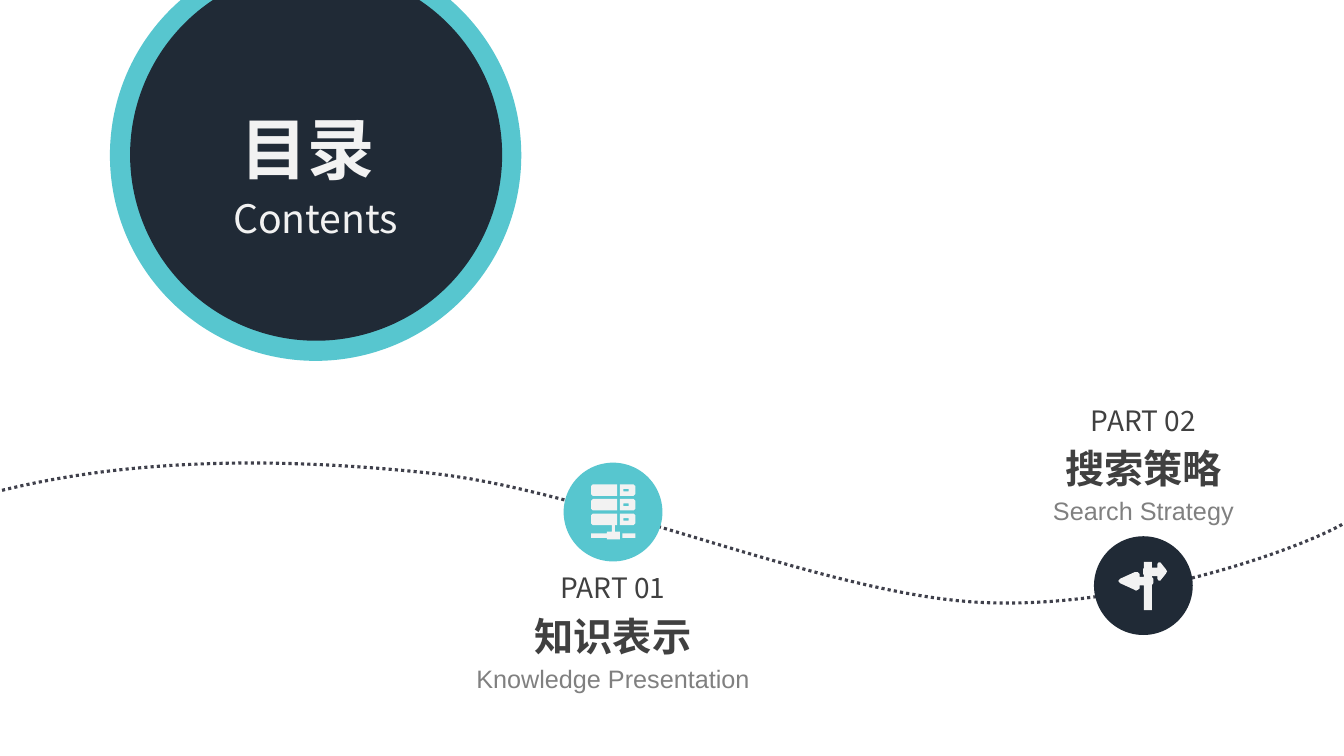
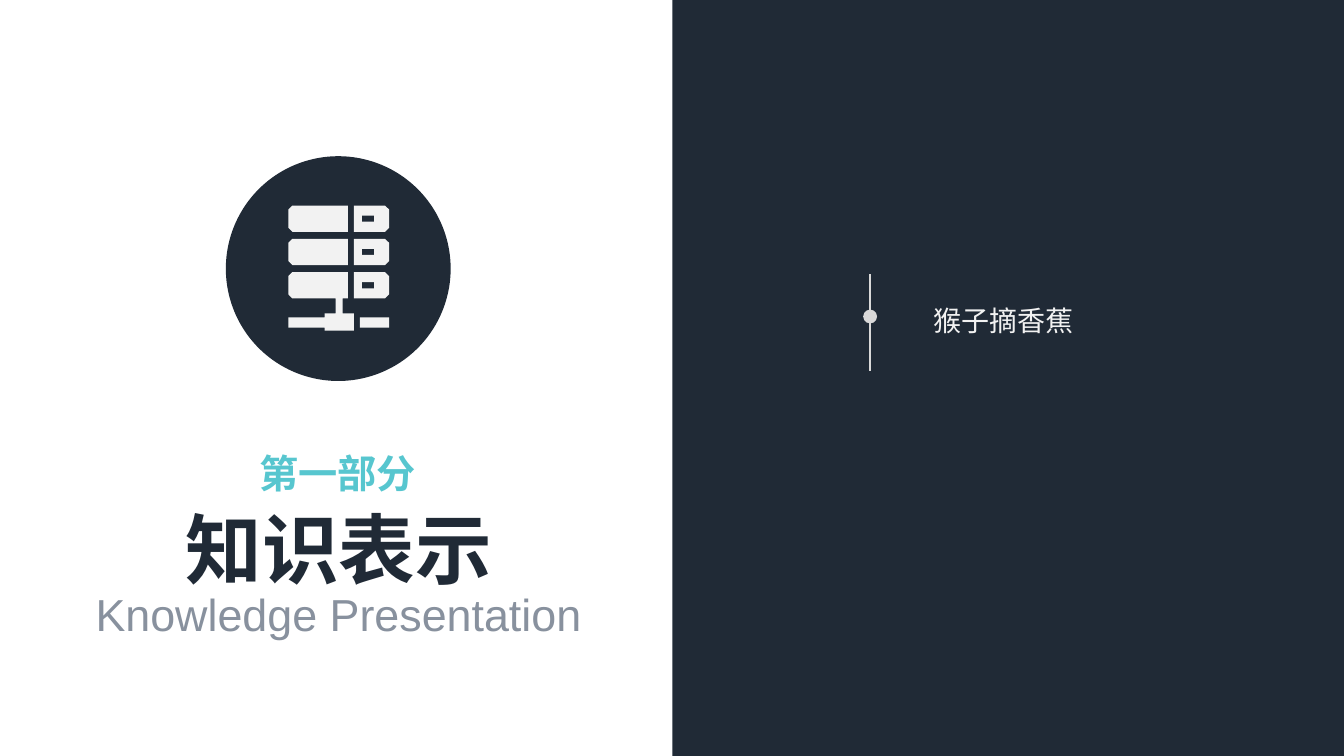
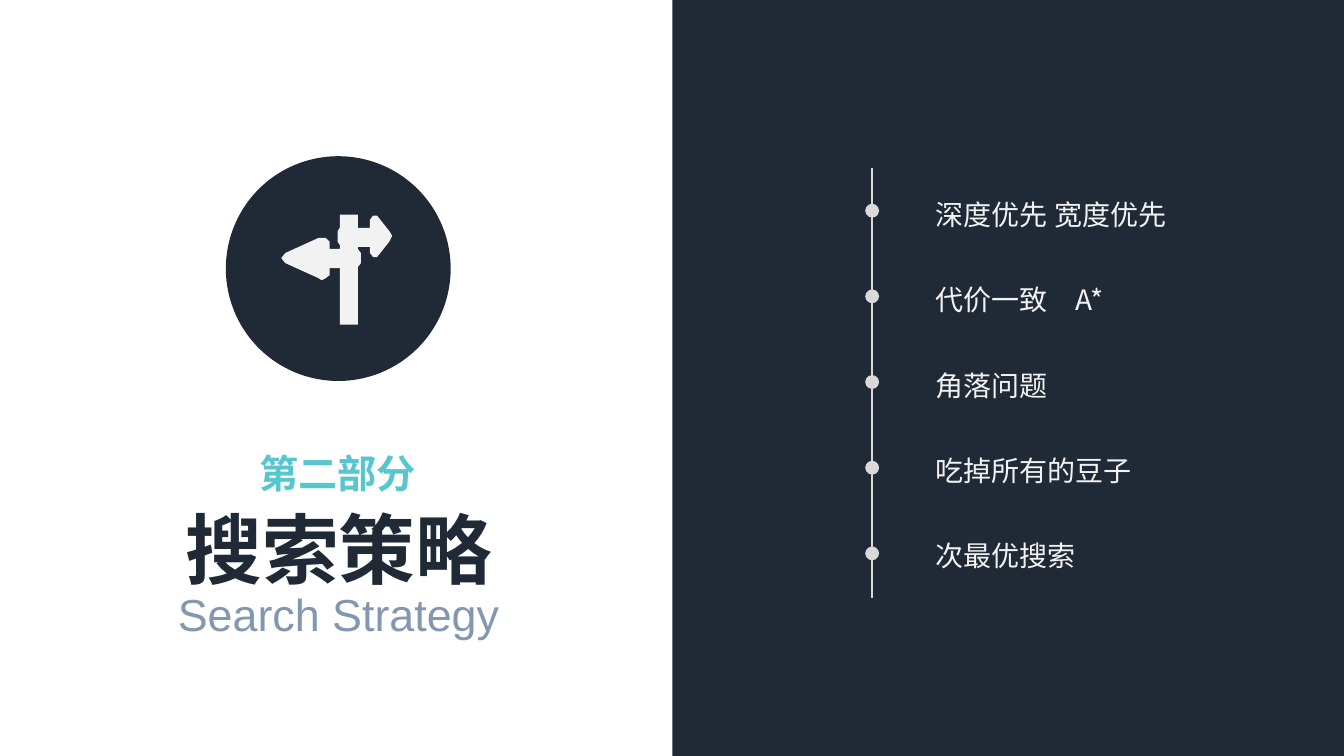
"""Builds a contents slide and two section slides with icon badges and timelines."""
from dataclasses import dataclass

from lxml import etree
from pptx import Presentation
from pptx.dml.color import RGBColor
from pptx.enum.dml import MSO_LINE
from pptx.enum.shapes import MSO_CONNECTOR, MSO_SHAPE
from pptx.enum.text import MSO_ANCHOR, MSO_AUTO_SIZE, PP_ALIGN
from pptx.oxml.ns import qn
from pptx.util import Inches, Pt

OVAL, RECTANGLE = MSO_SHAPE.OVAL, MSO_SHAPE.RECTANGLE
STRAIGHT, DOTTED = MSO_CONNECTOR.STRAIGHT, MSO_LINE.ROUND_DOT
LEFT, CENTER = PP_ALIGN.LEFT, PP_ALIGN.CENTER
TOP, FIXED = MSO_ANCHOR.TOP, MSO_AUTO_SIZE.NONE
TITLE_AND_BODY, TITLE_ONLY = 1, 5
ICON_BASE = 2.23
CURVE_STEPS = 30


@dataclass(frozen=True)
class Theme:
    teal: str = "57C6CF"
    navy: str = "202A36"
    white: str = "FFFFFF"
    pale: str = "F2F2F2"
    rail: str = "D9D9D9"
    wave: str = "3F404B"
    dark: str = "404040"
    gray: str = "808080"
    steel: str = "88919E"
    blue: str = "8497B0"
    sans: str = "Noto Sans CJK SC"
    latin: str = "Arial"
    hero: float = 54.7
    cover: float = 48
    subtitle: float = 32
    heading: float = 28
    item: float = 20
    note: float = 18


THEME = Theme()


def rectangle(left, top, right, bottom):
    return [(left, top), (right, top), (right, bottom), (left, bottom)]


def server_icon():
    outlines = []
    for top in (0.49, 0.82, 1.15):
        bottom, cut = top + 0.26, 0.04
        outlines.append([(0.66, top), (1.21, top), (1.21, bottom), (0.66, bottom),
                         (0.62, bottom - cut), (0.62, top + cut)])
        outlines.append([(1.27, top), (1.58, top), (1.62, top + cut),
                         (1.62, bottom - cut), (1.58, bottom), (1.27, bottom)])
        outlines.append(rectangle(1.35, top + 0.1, 1.47, top + 0.16))
    outlines.append(rectangle(1.33, 1.6, 1.62, 1.7))
    outlines.append([(0.62, 1.6), (0.98, 1.6), (0.98, 1.56), (1.09, 1.56),
                     (1.09, 1.41), (1.16, 1.41), (1.16, 1.56), (1.27, 1.56),
                     (1.27, 1.73), (0.98, 1.73), (0.98, 1.7), (0.62, 1.7)])
    return outlines


SERVER = server_icon()
SIGNPOST = [[
    (1.62, 0.74), (1.5, 0.59), (1.46, 0.59), (1.43, 0.63), (1.43, 0.71),
    (1.31, 0.71), (1.31, 0.58), (1.13, 0.58), (1.13, 0.71), (1.11, 0.74),
    (1.11, 0.85), (1.13, 0.88), (1.13, 0.92), (1.03, 0.92), (1.03, 0.85),
    (0.99, 0.81), (0.92, 0.81), (0.59, 0.96), (0.55, 1.01), (0.59, 1.06),
    (0.92, 1.21), (0.95, 1.23), (0.99, 1.21), (1.03, 1.18), (1.03, 1.11),
    (1.13, 1.11), (1.13, 1.67), (1.31, 1.67), (1.31, 1.1), (1.34, 1.06),
    (1.34, 0.96), (1.31, 0.92), (1.31, 0.9), (1.43, 0.9), (1.43, 0.96),
    (1.46, 1), (1.5, 1), (1.62, 0.85), (1.65, 0.79),
]]
WAVE = [(-0.04, 4.88), (1.21, 4.56), (2.68, 4.52), (4.32, 4.7), (5.96, 4.89),
        (8.28, 5.94), (9.81, 5.98), (11.33, 6.03), (12.98, 5.41), (13.35, 5.18)]


def curve_points(controls):
    points = [controls[0]]
    for start in range(0, len(controls) - 1, 3):
        knots = controls[start:start + 4]
        for step in range(1, CURVE_STEPS + 1):
            t = step / CURVE_STEPS
            weights = ((1 - t) ** 3, 3 * t * (1 - t) ** 2, 3 * t * t * (1 - t), t ** 3)
            points.append(tuple(sum(w * knot[axis] for w, knot in zip(weights, knots))
                                for axis in (0, 1)))
    return points


def write(para, text, size, color, line, font=THEME.sans, bold=False,
          align=CENTER, before=0, after=0):
    para.alignment = align
    para.line_spacing, para.space_before, para.space_after = Pt(line), Pt(before), Pt(after)
    span = para.add_run()
    span.text = text
    span.font.size, span.font.bold, span.font.name = Pt(size), bold, font
    span.font.color.rgb = RGBColor.from_string(color)
    etree.SubElement(span.font._element, qn("a:ea"), typeface=font)


class Deck:
    def __init__(self):
        self.deck = Presentation()
        self.deck.slide_width, self.deck.slide_height = Inches(13.33), Inches(7.5)
        self.page = None

    def new_page(self, layout):
        self.page = self.deck.slides.add_slide(self.deck.slide_layouts[layout])
        fill = self.page.background.fill
        fill.solid()
        fill.fore_color.rgb = RGBColor.from_string(THEME.white)

    def fill_box(self, frame, lines):
        frame.word_wrap, frame.auto_size = True, FIXED
        frame.vertical_anchor = TOP
        frame.margin_left = frame.margin_right = Inches(0.1)
        frame.margin_top = frame.margin_bottom = Inches(0.05)
        for index, line in enumerate(lines):
            para = frame.add_paragraph() if index else frame.paragraphs[0]
            write(para, **line)

    def text(self, left, top, width, height, lines):
        box = self.page.shapes.add_textbox(*map(Inches, (left, top, width, height)))
        self.fill_box(box.text_frame, lines)

    def placeholder(self, index, left, top, width, height, lines):
        holder = self.page.placeholders[index]
        holder.left, holder.top = Inches(left), Inches(top)
        holder.width, holder.height = Inches(width), Inches(height)
        self.fill_box(holder.text_frame, lines)
        for para in holder.text_frame.paragraphs:
            settings = para._p.get_or_add_pPr()
            settings.set("marL", "0")
            settings.set("indent", "0")
            etree.SubElement(settings, qn("a:buNone"))
        holder.element.getparent().append(holder.element)

    def shape(self, kind, left, top, width, height, color):
        shape = self.page.shapes.add_shape(kind, *map(Inches, (left, top, width, height)))
        self.paint(shape, color)

    def paint(self, shape, color):
        shape.shadow.inherit = False
        shape.fill.solid()
        shape.fill.fore_color.rgb = RGBColor.from_string(color)
        shape.line.fill.background()

    def badge(self, left, top, size, color, icon):
        self.shape(OVAL, left, top, size, size, color)
        scale = size / ICON_BASE
        outlines = [[(Inches(left + x * scale), Inches(top + y * scale)) for x, y in outline]
                    for outline in icon]
        builder = self.page.shapes.build_freeform(*outlines[0][0])
        for index, outline in enumerate(outlines):
            if index:
                builder.move_to(*outline[0])
            builder.add_line_segments(outline[1:], close=True)
        self.paint(builder.convert_to_shape(), THEME.pale)

    def wave(self, controls):
        points = [(Inches(x), Inches(y)) for x, y in curve_points(controls)]
        builder = self.page.shapes.build_freeform(*points[0])
        builder.add_line_segments(points[1:], close=False)
        curve = builder.convert_to_shape()
        curve.shadow.inherit = False
        curve.fill.background()
        curve.line.color.rgb = RGBColor.from_string(THEME.wave)
        curve.line.width, curve.line.dash_style = Pt(2.25), DOTTED

    def timeline(self, x, first, count, end):
        stops = [first - 0.42] + [first + 0.85 * index for index in range(count)] + [end]
        for index, (upper, lower) in enumerate(zip(stops, stops[1:])):
            rail = self.page.shapes.add_connector(
                STRAIGHT, Inches(x), Inches(lower), Inches(x), Inches(upper))
            rail.line.color.rgb = RGBColor.from_string(THEME.rail)
            rail.line.width = Pt(1.5)
            if index:
                etree.SubElement(rail.line._get_or_add_ln(), qn("a:tailEnd"),
                                 type="oval", w="lg", len="lg")
            etree.SubElement(rail.element.spPr, qn("a:effectLst"))

    def chapter(self, left, top, label, name, english):
        self.text(left, top, 3.2, 1.45, [
            dict(text=label, size=THEME.item, color=THEME.dark, line=33),
            dict(text=name, size=THEME.heading, color=THEME.dark, line=34, before=5, bold=True),
            dict(text=english, size=THEME.note, color=THEME.gray, line=19.3, before=5,
                 font=THEME.latin)])

    def section(self, label, name, english, tint, icon, items, x, first, end):
        self.new_page(TITLE_AND_BODY)
        self.shape(RECTANGLE, 6.67, 0, 6.67, 7.5, THEME.navy)
        self.badge(2.24, 1.55, ICON_BASE, THEME.navy, icon)
        self.text(2.25, 4.38, 2.2, 0.57, [
            dict(text=label, size=THEME.heading, color=THEME.teal, line=36, bold=True)])
        self.placeholder(0, 0.56, 4.85, 5.6, 1.56, [
            dict(text=name, size=THEME.hero, color=THEME.navy, line=71, bold=True),
            dict(text=english, size=THEME.subtitle, color=tint, line=33.5, font=THEME.latin)])
        self.timeline(x, first, len(items), end)
        self.placeholder(1, x + 0.53, first - 0.21, 3.2, 0.44 + 0.85 * (len(items) - 1), [
            dict(text=item, size=THEME.item, color=THEME.pale, line=26, after=35, align=LEFT)
            for item in items])

    def contents(self):
        self.new_page(TITLE_ONLY)
        self.shape(OVAL, 1.09, -0.5, 4.08, 4.08, THEME.teal)
        self.shape(OVAL, 1.29, -0.31, 3.69, 3.69, THEME.navy)
        self.placeholder(0, 1.32, 0.79, 3.62, 1.59, [
            dict(text="目录 ", size=THEME.cover, color=THEME.pale, line=74, bold=True),
            dict(text="Contents", size=THEME.heading, color=THEME.pale, line=38)])
        self.wave(WAVE)
        self.chapter(4.48, 5.49, "PART 01", "知识表示", "Knowledge Presentation")
        self.chapter(9.74, 3.83, "PART 02", "搜索策略", "Search Strategy")
        self.badge(5.59, 4.59, 0.98, THEME.teal, SERVER)
        self.badge(10.85, 5.32, 0.98, THEME.navy, SIGNPOST)


def main():
    show = Deck()
    show.contents()
    show.section("第一部分", "知识表示", "Knowledge Presentation", THEME.steel, SERVER,
                 ["猴子摘香蕉"], x=8.63, first=3.14, end=3.68)
    show.section("第二部分", "搜索策略", "Search Strategy", THEME.blue, SIGNPOST,
                 ["深度优先 宽度优先", "代价一致　A*", "角落问题", "吃掉所有的豆子", "次最优搜索"],
                 x=8.65, first=2.09, end=5.93)
    show.deck.save("out.pptx")


if __name__ == "__main__":
    main()
